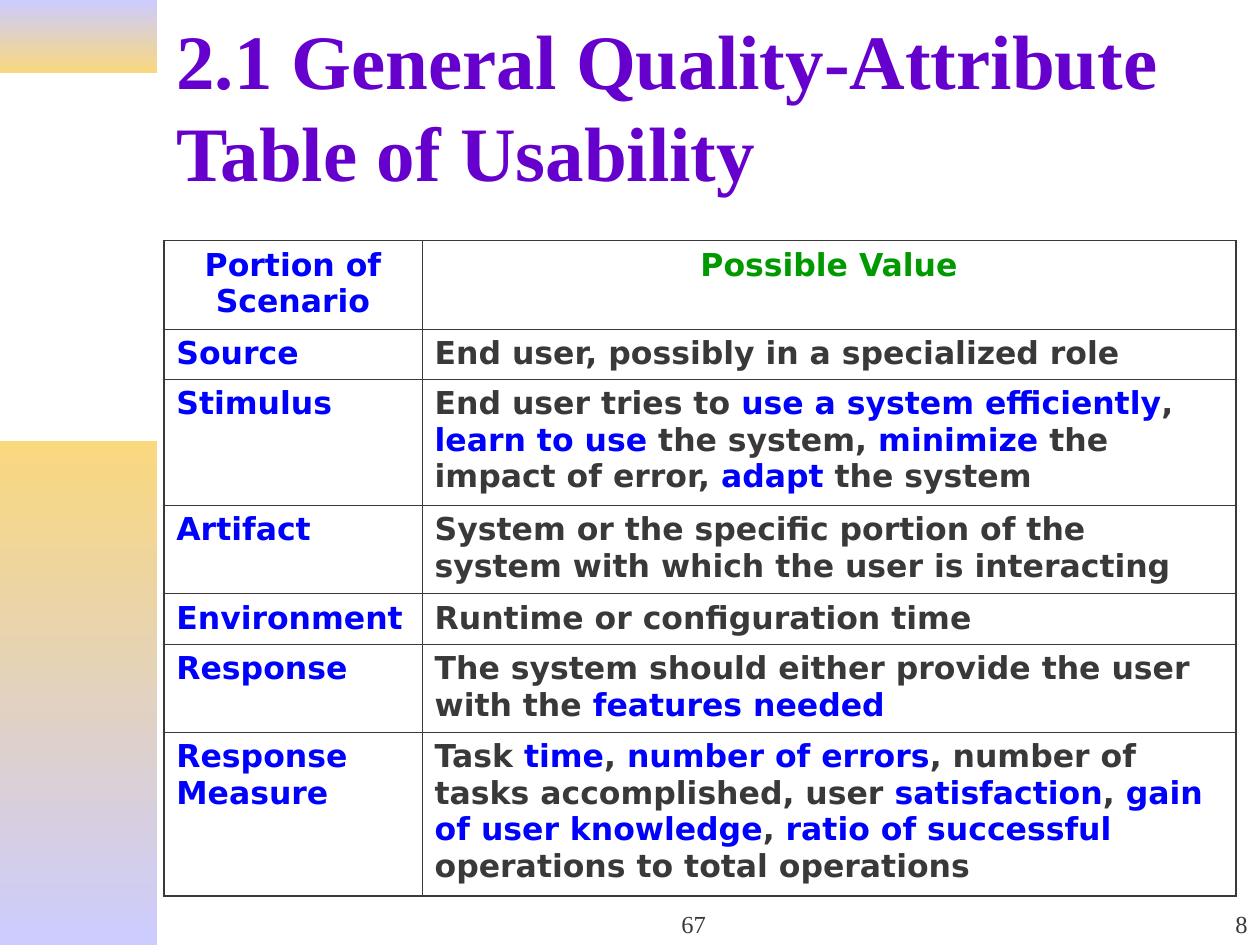
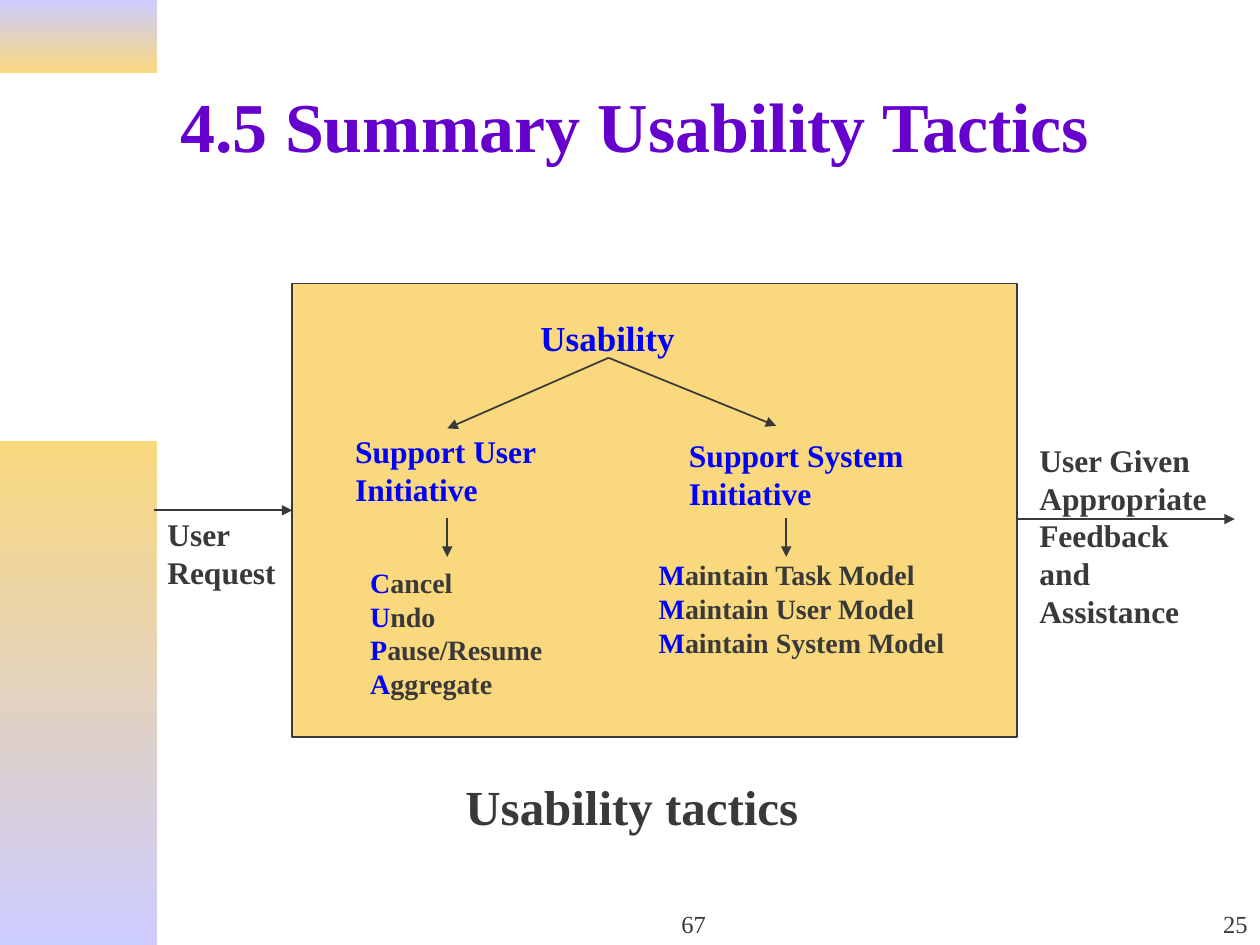
from lxml.etree import SubElement, Element
from pptx import Presentation
from pptx.dml.color import RGBColor
from pptx.enum.shapes import MSO_CONNECTOR as CONNECTOR, MSO_SHAPE as SHAPE
from pptx.enum.text import MSO_ANCHOR as ANCHOR, MSO_AUTO_SIZE as AUTO_SIZE, PP_ALIGN as ALIGN
from pptx.oxml.ns import qn
from pptx.util import Inches, Pt

COLORS = {
    "title": "6600CC",
    "text": "393939",
    "accent": "0000FF",
    "header": "009900",
    "gold": "F9D87E",
    "lavender": "CCCCFF",
}
SERIF = "Times New Roman"
SANS = "DejaVu Sans"
WIDTH, HEIGHT = Inches(10), Inches(7.5)
COLUMN, ROW = WIDTH // 100, HEIGHT // 75

TABLE_COLUMNS = (20.5, 64.6)
TABLE_ROWS = (7, 4, 10, 7, 4, 7, 13)
SCENARIO = [
    ("Portion of Scenario", "Possible Value"),
    ("Source", "End user, possibly in a specialized role"),
    ("Stimulus", "End user tries to *use a system efficiently*, *learn to use *the system, "
                 "*minimize* the impact of error, *adapt* the system"),
    ("Artifact", "System or the specific portion of the system with which the user is interacting"),
    ("Environment", "Runtime or configuration time"),
    ("Response", "The system should either provide the user with the *features needed*"),
    ("Response Measure", "Task *time*, *number of errors*, number of tasks accomplished, user "
                         "*satisfaction*, *gain of user knowledge*, *ratio of successful *"
                         "operations to total operations"),
]


def color(name):
    """Return the named colour."""
    return RGBColor.from_string(COLORS[name])


def grid(left, top, width, height):
    """Turn grid columns and rows into lengths."""
    return round(left * COLUMN), round(top * ROW), round(width * COLUMN), round(height * ROW)


def write(text_frame, lines, size, font=SERIF, bold=True, base="text", align=ALIGN.LEFT):
    """Write lines in one style, with the parts between asterisks in the accent colour."""
    for index, line in enumerate(lines):
        paragraph = text_frame.add_paragraph() if index else text_frame.paragraphs[0]
        paragraph.alignment = align
        for part, text in enumerate(line.split("*")):
            if text:
                run = paragraph.add_run()
                run.text = text
                run.font.name = font
                run.font.size = Pt(size)
                run.font.bold = bold
                run.font.color.rgb = color("accent" if part % 2 else base)


def add_text(slide, area, lines, size, anchor=ANCHOR.TOP, **style):
    """Add a wrapping text box."""
    text_frame = slide.shapes.add_textbox(*grid(*area)).text_frame
    text_frame.word_wrap = True
    text_frame.vertical_anchor = anchor
    write(text_frame, lines, size, **style)


def add_box(slide, area):
    """Add a rectangle without a shadow."""
    box = slide.shapes.add_shape(SHAPE.RECTANGLE, *grid(*area))
    box.shadow.inherit = False
    return box


def add_bands(slide, layout):
    """Put the two gradient bands of the left margin on the layout."""
    bands = [((0, 0, 12.5, 5.8), ("lavender", "gold")), ((0, 35, 12.5, 40), ("gold", "lavender"))]
    for index, (area, names) in enumerate(bands):
        band = add_box(slide, area)
        band.line.fill.background()
        band.fill.gradient()
        band.fill.gradient_angle = 270
        for stop, name in zip(band.fill.gradient_stops, names):
            stop.color.rgb = color(name)
        band.element.nvSpPr.cNvPr.id = 20 + index
        layout.shapes.element.insert(2 + index, band.element)


def add_slide(presentation, layout, title, area, size, number):
    """Add a slide with its title and footer numbers."""
    slide = presentation.slides.add_slide(layout)
    shape = slide.shapes.title
    shape.left, shape.top, shape.width, shape.height = grid(*area)
    shape.text_frame.auto_size = AUTO_SIZE.NONE
    shape.text_frame.vertical_anchor = ANCHOR.MIDDLE
    write(shape.text_frame, [title], size, base="title")
    for left, width, text, align in ((39.2, 31.7, "67", ALIGN.CENTER), (79.2, 20.8, number, ALIGN.RIGHT)):
        add_text(slide, (left, 70, width, 5), [text], 14, ANCHOR.BOTTOM, bold=False, align=align)
    return slide


def add_arrow(slide, start, end):
    """Add a straight arrow between two grid points."""
    connector = slide.shapes.add_connector(CONNECTOR.STRAIGHT, *grid(*start, *end))
    connector.line.color.rgb = color("text")
    connector.line.width = Pt(1)
    properties = connector.element.spPr
    SubElement(properties.find(qn("a:ln")), qn("a:tailEnd"), type="triangle")
    SubElement(properties, qn("a:effectLst"))
    return connector


def border(side, outer):
    """Return a cell border, thicker on the outside of the table."""
    line = Element(qn(f"a:ln{side}"), w=str(Pt(1.08 if outer else 0.45)))
    SubElement(SubElement(line, qn("a:solidFill")), qn("a:srgbClr"), val=COLORS["text"])
    return line


def add_scenario_table(slide, left, top):
    """Add the table of scenario portions and their values."""
    area = grid(left, top, sum(TABLE_COLUMNS), sum(TABLE_ROWS))
    frame = slide.shapes.add_table(len(TABLE_ROWS), len(TABLE_COLUMNS), *area)
    table = frame.table
    table.first_row = table.horz_banding = False
    for column, width in zip(table.columns, TABLE_COLUMNS):
        column.width = round(width * COLUMN)
    for row, height in zip(table.rows, TABLE_ROWS):
        row.height = height * ROW
    for row, texts in enumerate(SCENARIO):
        for column, text in enumerate(texts):
            cell = table.cell(row, column)
            cell.fill.background()
            base = "accent" if column == 0 else "text" if row else "header"
            align = ALIGN.LEFT if row else ALIGN.CENTER
            write(cell.text_frame, [text], 18, font=SANS, base=base, align=align)
    for index, properties in enumerate(frame.element.iter(qn("a:tcPr"))):
        row, column = divmod(index, len(TABLE_COLUMNS))
        outer = {"L": column == 0, "R": column == len(TABLE_COLUMNS) - 1,
                 "T": row == 0, "B": row == len(TABLE_ROWS) - 1}
        for position, side in enumerate(outer):
            properties.insert(position, border(side, outer[side]))


def add_tactics_diagram(slide):
    """Add the tactics tree with its request and feedback arrows."""
    add_text(slide, (28.5, 61.1, 43.3, 5.7), ["Usability tactics"], 28, align=ALIGN.CENTER)
    tactics = add_box(slide, (23.2, 22.5, 57.5, 36))
    tactics.fill.solid()
    tactics.fill.fore_color.rgb = color("gold")
    tactics.line.color.rgb = color("text")
    tactics.line.width = Pt(1)

    labels = [
        ((41.9, 24.6, 14.1, 4.4), ["*Usability*"], 20),
        ((12.3, 40.4, 11.7, 7), ["User Request"], 18),
        ((81.5, 34.5, 16.5, 16), ["User Given Appropriate Feedback and Assistance"], 18),
        ((27.2, 33.8, 22.1, 7), ["*Support User Initiative*"], 18),
        ((53.7, 34.1, 19.7, 7), ["*Support System Initiative*"], 18),
        ((28.4, 44.4, 17.3, 11.7), ["*C*ancel", "*U*ndo", "*P*ause/Resume", "*A*ggregate"], 16),
        ((51.3, 43.8, 25.3, 9),
         ["*M*aintain Task Model", "*M*aintain User Model", "*M*aintain System Model"], 16),
    ]
    for area, lines, size in labels:
        add_text(slide, area, lines, size)

    request = add_arrow(slide, (12.2, 40.5), (23.2, 40.5))
    request.end_connect(tactics, 1)
    add_arrow(slide, (80.7, 41.2), (98, 41.2))
    root = (48.3, 28.4)
    for branch_end, list_x in (((35.5, 34), 35.5), ((61.6, 33.8), 62.4)):
        add_arrow(slide, root, branch_end)
        add_arrow(slide, (list_x, 41.1), (list_x, 44.2))


def main():
    """Build both slides and save them."""
    presentation = Presentation()
    presentation.slide_width, presentation.slide_height = WIDTH, HEIGHT
    layout = presentation.slide_layouts[5]
    table_slide = add_slide(presentation, layout, "2.1 General Quality-Attribute Table of Usability",
                            (13, 1.1, 82, 14.4), 44, "8")
    add_bands(table_slide, layout)
    add_scenario_table(table_slide, 13, 19.1)
    tactics_slide = add_slide(presentation, layout, "4.5 Summary Usability Tactics",
                              (13.3, 3.3, 85, 13.2), 40, "25")
    add_tactics_diagram(tactics_slide)
    presentation.save("out.pptx")


if __name__ == "__main__":
    main()
